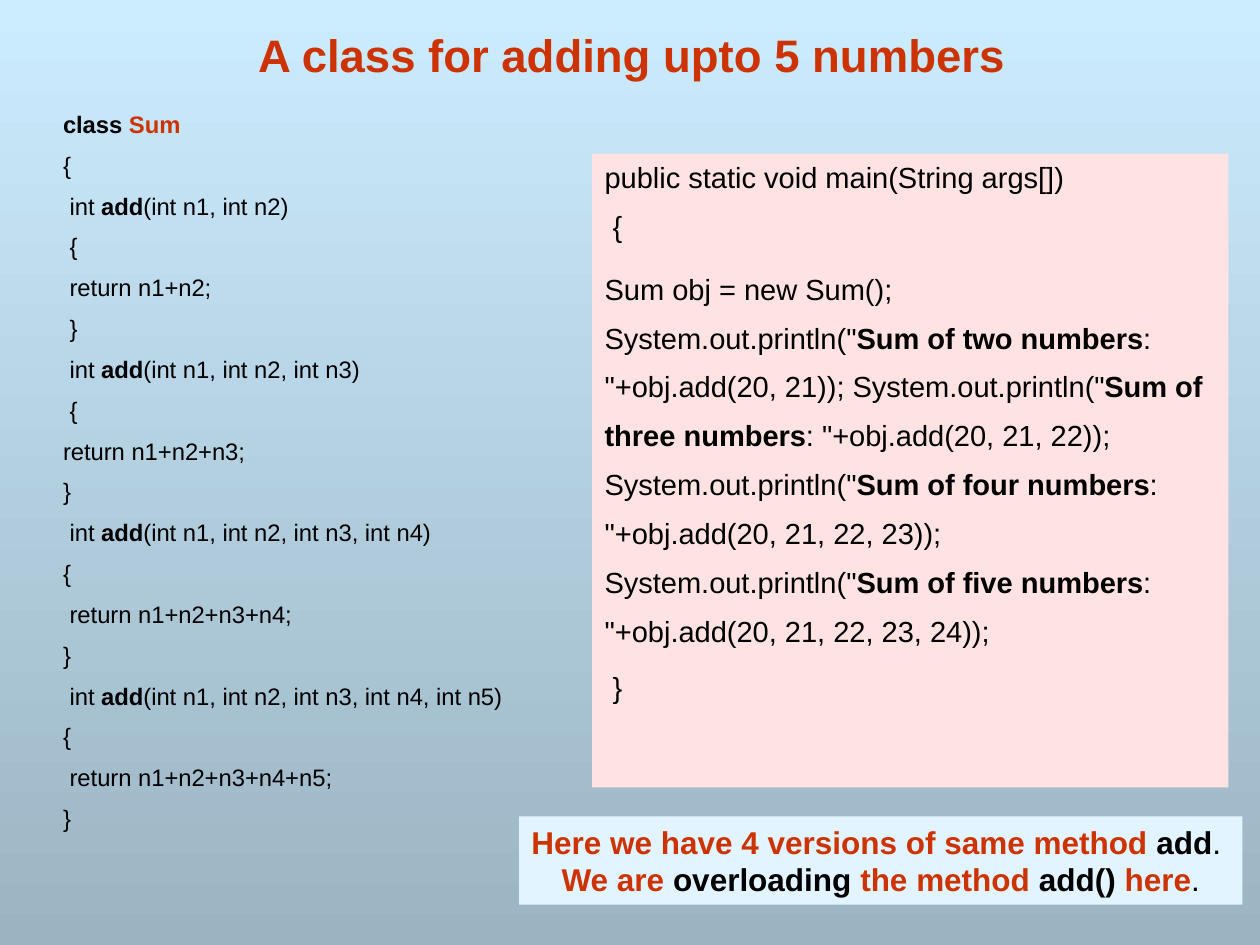
import pptx
import pptx.dml.color
import pptx.enum.shapes
import pptx.enum.text
import pptx.util
from pptx.util import Inches

RED, BLACK = "CC3300", "000000"
ALIGN = pptx.enum.text.PP_ALIGN
ANCHOR = pptx.enum.text.MSO_ANCHOR

CLASS_CODE = [
    "{", " int *add*(int n1, int n2)", " {", " return n1+n2;", " }",
    " int *add*(int n1, int n2, int n3)", " {", "return n1+n2+n3;", "}",
    " int *add*(int n1, int n2, int n3, int n4)", "{", " return n1+n2+n3+n4;", "}",
    " int *add*(int n1, int n2, int n3, int n4, int n5)", "{",
    " return n1+n2+n3+n4+n5;", "}",
]
CALLS = (
    'Sum obj = new Sum(); System.out.println("*Sum of two numbers*'
    ': "+obj.add(20, 21)); System.out.println("*Sum of three numbers*'
    ': "+obj.add(20, 21, 22)); System.out.println("*Sum of four numbers*'
    ': "+obj.add(20, 21, 22, 23)); System.out.println("*Sum of five numbers*'
    ': "+obj.add(20, 21, 22, 23, 24));'
)
CAPTION = [
    [("Here we have 4 versions of same method\u00a0", RED, True),
     ("add", BLACK, True), (". ", BLACK, False)],
    [("We are ", RED, True), ("overloading", BLACK, True),
     (" the method\u00a0", RED, True), ("add()\u00a0", BLACK, True),
     ("here", RED, True), (".", BLACK, False)],
]


def rgb(value):
    """Return a colour from a hex string."""
    return pptx.dml.color.RGBColor.from_string(value)


def add_text(p, text, size, color=BLACK, bold=False):
    """Add a formatted run to a paragraph."""
    r = p.add_run()
    r.text = text
    r.font.name = "Arial"
    r.font.size = pptx.util.Pt(size)
    r.font.bold = bold
    r.font.color.rgb = rgb(color)


def add_code(p, line, size):
    """Add a code line in which asterisks enclose bold words."""
    for i, part in enumerate(line.split("*")):
        if part:
            add_text(p, part, size, bold=i % 2 == 1)


def add_paragraph(tf, first=False, before=0, spacing=None, align=ALIGN.LEFT):
    """Return the first or a new paragraph with its spacing set."""
    p = tf.paragraphs[0] if first else tf.add_paragraph()
    p.alignment = align
    p.space_before = pptx.util.Pt(before)
    if spacing:
        p.line_spacing = spacing
    return p


def remove_bullet(p):
    """Turn off the bullet and hanging indent of a paragraph."""
    pPr = p._p.get_or_add_pPr()
    pPr.set("marL", "0")
    pPr.set("indent", "0")
    pPr.append(pptx.oxml.parse_xml(
        '<a:buNone xmlns:a="http://schemas.openxmlformats.org/drawingml/2006/main"/>'))


def place(sp, left, top, width, height, anchor=ANCHOR.TOP, wrap=True):
    """Position a shape and return its prepared text frame."""
    sp.left, sp.top = Inches(left), Inches(top)
    sp.width, sp.height = Inches(width), Inches(height)
    tf = sp.text_frame
    tf.auto_size = pptx.enum.text.MSO_AUTO_SIZE.NONE
    tf.word_wrap = wrap
    tf.vertical_anchor = anchor
    return tf


def add_panel(s, left, top, width, height, fill, wrap=True):
    """Add a plain filled rectangle and return its text frame."""
    sp = s.shapes.add_shape(pptx.enum.shapes.MSO_SHAPE.RECTANGLE, 0, 0, 0, 0)
    sp.shadow.inherit = False
    sp.fill.solid()
    sp.fill.fore_color.rgb = rgb(fill)
    sp.line.fill.background()
    return place(sp, left, top, width, height, wrap=wrap)


def set_background(s, top, bottom):
    """Fill the slide with a vertical gradient."""
    fill = s.background.fill
    fill.gradient()
    fill.gradient_angle = 270
    for stop, color, position in zip(fill.gradient_stops, (top, bottom), (0, 1)):
        stop.color.rgb = rgb(color)
        stop.position = position


def add_class_code(s):
    """Fill the body placeholder with the class listing."""
    tf = place(s.placeholders[1], 0.4, 0.82, 4.43, 5.73)
    p = add_paragraph(tf, first=True)
    remove_bullet(p)
    add_text(p, "class ", 13.6, bold=True)
    add_text(p, "Sum", 13.6, color=RED, bold=True)
    for line in CLASS_CODE:
        p = add_paragraph(tf, before=7)
        remove_bullet(p)
        add_code(p, line, 13.6)


def add_main_code(s):
    """Add the panel with the main method."""
    tf = add_panel(s, 4.7, 1.22, 5.05, 5.03, "FFE2E2")
    tf.margin_right = Inches(0.12)
    lines = [("public static void main(String args[])", 0, None), (" {", 7.9, None),
             (CALLS, 7.9, 1.4), (" }", 12.2, None)]
    for i, (line, before, spacing) in enumerate(lines):
        add_code(add_paragraph(tf, i == 0, before, spacing), line, 16.6)


def add_caption(s):
    """Add the remark about overloading."""
    tf = add_panel(s, 4.12, 6.48, 5.74, 0.7, "E2F4FF", wrap=False)
    for i, runs in enumerate(CAPTION):
        p = add_paragraph(tf, i == 0, align=ALIGN.CENTER)
        for text, color, bold in runs:
            add_text(p, text, 18, color=color, bold=bold)


def main():
    """Build and save the slide."""
    prs = pptx.Presentation()
    prs.slide_width, prs.slide_height = Inches(10), Inches(7.5)
    s = prs.slides.add_slide(prs.slide_layouts[1])
    set_background(s, "CCECFF", "9BB4C2")
    tf = place(s.shapes.title, 0.6, 0.22, 8.83, 0.48, anchor=ANCHOR.BOTTOM)
    add_text(add_paragraph(tf, first=True, align=ALIGN.CENTER),
             "A class for adding upto 5 numbers", 26, color=RED, bold=True)
    add_class_code(s)
    add_main_code(s)
    add_caption(s)
    prs.save("out.pptx")


if __name__ == "__main__":
    main()
